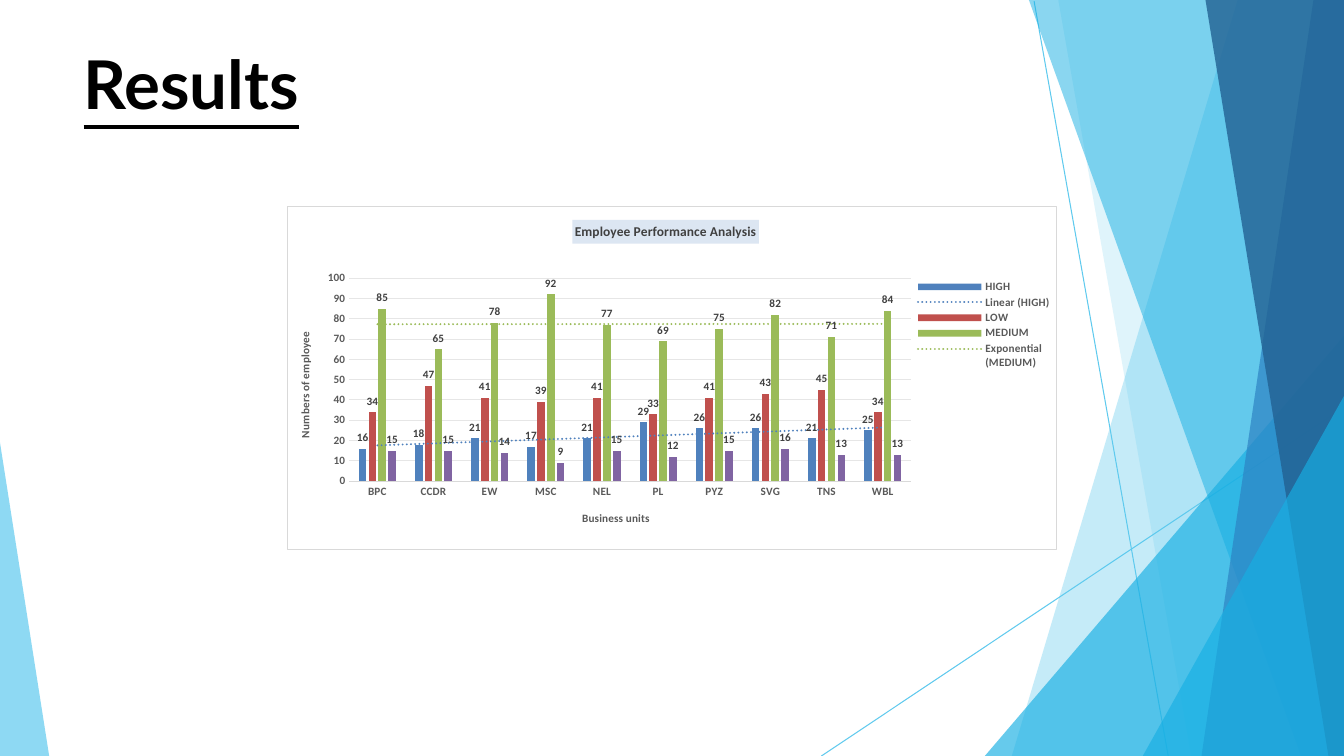
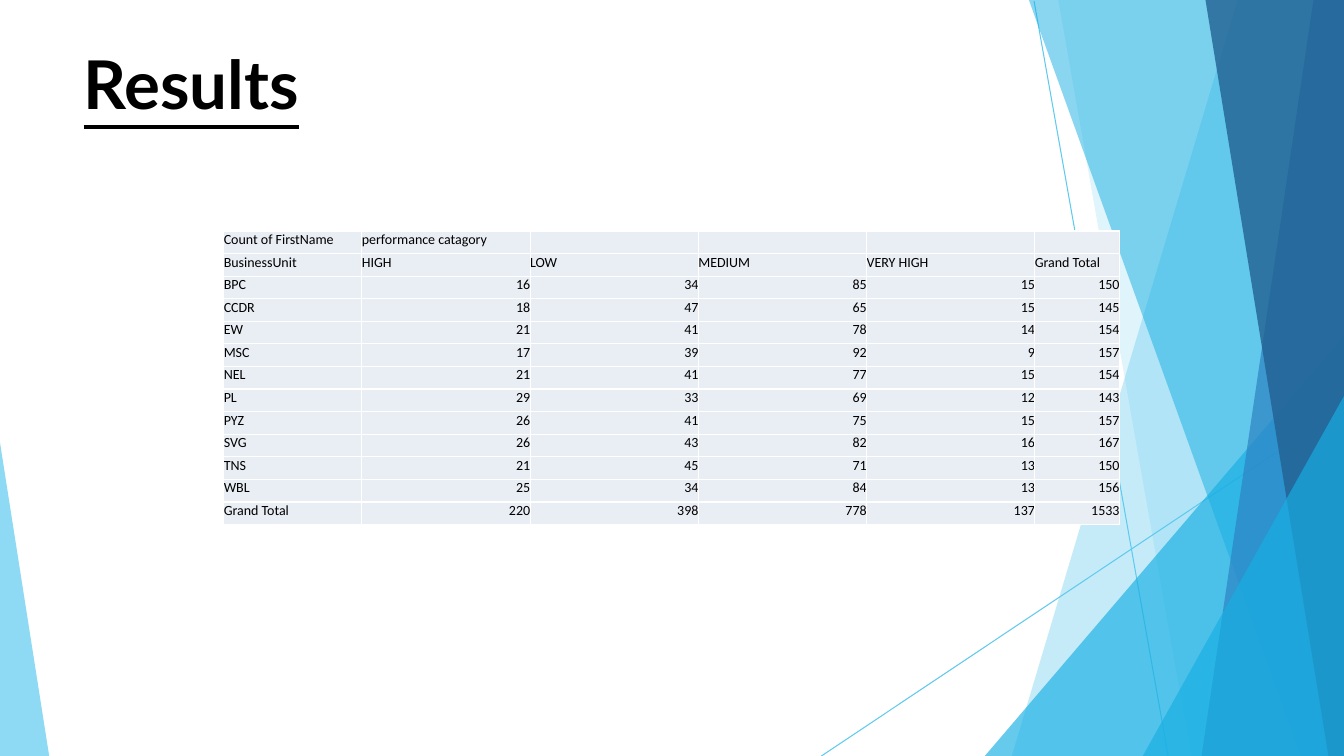
"""Build two results slides: a column chart and a table of performance counts by business unit."""
from lxml.etree import SubElement
from pptx import Presentation
from pptx.chart.data import CategoryChartData
from pptx.dml.color import RGBColor
from pptx.enum.chart import XL_CHART_TYPE as ChartType
from pptx.enum.chart import XL_LABEL_POSITION as LabelPosition
from pptx.enum.chart import XL_LEGEND_POSITION as LegendPosition
from pptx.enum.chart import XL_TICK_MARK as TickMark
from pptx.enum.shapes import MSO_CONNECTOR as Connector
from pptx.enum.text import MSO_ANCHOR as Anchor
from pptx.enum.text import PP_ALIGN as Align
from pptx.oxml import parse_xml
from pptx.oxml.ns import nsdecls, qn
from pptx.util import Cm, Pt

WIDTH, HEIGHT = 33.87, 19.05

COLORS = {
    "sky": "5FCAEE", "cyan": "17AFE3", "blue": "2D83C3", "navy": "226192",
    "black": "000000", "white": "FFFFFF", "cell": "E9EDF4",
    "high": "4F81BD", "low": "C0504D", "medium": "9BBB59", "very high": "8064A2",
    "label": "404040", "axis": "595959", "border": "D9D9D9", "grid": "E6E6E6",
    "title fill": "DCE6F2",
}

THIN_LINES = [((26.06, 0.03), (29.44, HEIGHT)), ((WIDTH, 10.26), (20.7, HEIGHT))]

FACETS = [
    ("sky", 36, [(WIDTH, 0), (31.19, 0), (25.5, HEIGHT), (WIDTH, HEIGHT)]),
    ("sky", 20, [(WIDTH, 0), (26.67, 0), (30.02, HEIGHT), (WIDTH, HEIGHT)]),
    ("cyan", 66, [(WIDTH, 8.46), (24.82, HEIGHT), (WIDTH, HEIGHT)]),
    ("cyan", 50, [(WIDTH, 0), (25.93, 0), (32.79, HEIGHT), (WIDTH, HEIGHT)]),
    ("blue", 70, [(WIDTH, 0), (33.1, 0), (30.28, HEIGHT), (WIDTH, HEIGHT)]),
    ("navy", 80, [(WIDTH, 0), (30.38, 0), (33.48, HEIGHT), (WIDTH, HEIGHT)]),
    ("cyan", 66, [(WIDTH, 9.98), (28.8, HEIGHT), (WIDTH, HEIGHT)]),
    ("sky", 70, [(0, 11.15), (0, HEIGHT), (1.24, HEIGHT)]),
]

UNITS = ["BPC", "CCDR", "EW", "MSC", "NEL", "PL", "PYZ", "SVG", "TNS", "WBL"]
COUNTS = {
    "HIGH": [16, 18, 21, 17, 21, 29, 26, 26, 21, 25],
    "LOW": [34, 47, 41, 39, 41, 33, 41, 43, 45, 34],
    "MEDIUM": [85, 65, 78, 92, 77, 69, 75, 82, 71, 84],
    "VERY HIGH": [15, 15, 14, 9, 15, 12, 15, 16, 13, 13],
}
TRENDS = {"HIGH": "linear", "MEDIUM": "exp"}
COLUMN_WIDTHS = [3.48, 4.24, 4.24, 4.24, 4.24, 2.13]
ROW_HEIGHT = 0.57


def rgb(name):
    return RGBColor.from_string(COLORS[name])


def set_font(font, size, color, bold=False, name="Calibri"):
    font.name, font.size, font.bold = name, Pt(size), bold
    font.color.rgb = rgb(color)


def add_backdrop(slide):
    for start, end in THIN_LINES:
        line = slide.shapes.add_connector(
            Connector.STRAIGHT, *(Cm(value) for value in start + end))
        line.line.color.rgb = rgb("sky")
        line.line.width = Pt(0.75)
        SubElement(line._element.spPr, qn("a:effectLst"))
    for color, opacity, corners in FACETS:
        points = [(Cm(x), Cm(y)) for x, y in corners]
        builder = slide.shapes.build_freeform(*points[0], scale=1.0)
        builder.add_line_segments(points[1:], close=True)
        facet = builder.convert_to_shape()
        facet.shadow.inherit = False
        facet.line.fill.background()
        facet.fill.solid()
        facet.fill.fore_color.rgb = rgb(color)
        swatch = facet._element.spPr.find(".//" + qn("a:srgbClr"))
        SubElement(swatch, qn("a:alpha"), val=str(opacity * 1000))


def add_title(slide, text):
    frame = slide.shapes.add_textbox(Cm(2.11), Cm(1.07), Cm(29.66), Cm(2.12)).text_frame
    frame.word_wrap = True
    frame.margin_left = frame.margin_right = frame.margin_top = frame.margin_bottom = 0
    run = frame.paragraphs[0].add_run()
    run.text = text
    set_font(run.font, 48, "black", True, "Lato")
    run.font.underline = True


def place(element, index, inner=False, **box):
    """Give a chart part a manual layout in fractions of the chart."""
    for old in element.findall(qn("c:layout")):
        element.remove(old)
    target = '<c:layoutTarget val="inner"/>' if inner else ""
    modes = "".join(f'<c:{side}Mode val="edge"/>' for side in "xy")
    sizes = "".join(f'<c:{side} val="{value}"/>' for side, value in box.items())
    element.insert(index, parse_xml(
        f'<c:layout {nsdecls("c")}><c:manualLayout>{target}{modes}{sizes}'
        "</c:manualLayout></c:layout>"))


def title_part(title, text, size, color, x, y):
    run = title.text_frame.paragraphs[0].add_run()
    run.text = text
    set_font(run.font, size, color, True)
    place(title._element, 1, x=x, y=y)


def style_series(series):
    color = series.name.lower()
    series.format.fill.solid()
    series.format.fill.fore_color.rgb = rgb(color)
    series.invert_if_negative = False
    labels = series.data_labels
    labels.show_value = True
    labels.position = LabelPosition.OUTSIDE_END
    set_font(labels.font, 8, "label", True)
    if series.name in TRENDS:
        series._element.find(qn("c:cat")).addprevious(parse_xml(
            f'<c:trendline {nsdecls("c", "a")}><c:spPr><a:ln w="{Pt(1.5)}" cap="rnd">'
            f'<a:solidFill><a:srgbClr val="{COLORS[color]}"/></a:solidFill>'
            '<a:prstDash val="sysDot"/></a:ln></c:spPr>'
            f'<c:trendlineType val="{TRENDS[series.name]}"/>'
            '<c:dispRSqr val="0"/><c:dispEq val="0"/></c:trendline>'))


def style_axes(chart):
    category, value = chart.category_axis, chart.value_axis
    for axis in (category, value):
        axis.major_tick_mark = axis.minor_tick_mark = TickMark.NONE
        set_font(axis.tick_labels.font, 8, "axis", True)
    category.format.line.color.rgb = rgb("border")
    category.format.line.width = Pt(0.75)
    value.format.line.fill.background()
    value.minimum_scale, value.maximum_scale, value.major_unit = 0, 100, 10
    value.major_gridlines.format.line.color.rgb = rgb("grid")
    value.major_gridlines.format.line.width = Pt(0.75)
    title_part(category.axis_title, "Business units", 8, "axis", 0.38, 0.88)
    title_part(value.axis_title, "Numbers of employee", 8, "axis", 0.01, 0.36)


def style_legend(chart):
    chart.has_legend = True
    legend = chart.legend
    legend.position = LegendPosition.RIGHT
    legend.include_in_layout = False
    set_font(legend.font, 8, "axis", True)
    hidden = list(COUNTS).index("VERY HIGH")
    legend._element.insert(1, parse_xml(
        f'<c:legendEntry {nsdecls("c")}><c:idx val="{hidden}"/>'
        '<c:delete val="1"/></c:legendEntry>'))
    place(legend._element, 2, x=0.81, y=0.21, w=0.19, h=0.27)


def add_performance_chart(slide):
    data = CategoryChartData()
    data.categories = UNITS
    for name, values in COUNTS.items():
        data.add_series(name, values)
    chart = slide.shapes.add_chart(
        ChartType.COLUMN_CLUSTERED, Cm(7.24), Cm(5.18), Cm(19.41), Cm(8.69), data).chart
    set_font(chart.font, 8, "black", True)
    plot = chart.plots[0]
    plot.gap_width, plot.overlap, plot.vary_by_categories = 246, -28, False
    for series in plot.series:
        style_series(series)
    style_axes(chart)
    style_legend(chart)
    chart.has_title = True
    title_part(chart.chart_title, "Employee Performance Analysis", 9.6, "label", 0.37, 0.04)
    chart.chart_title.format.fill.solid()
    chart.chart_title.format.fill.fore_color.rgb = rgb("title fill")
    space = chart._chartSpace
    place(space.find(".//" + qn("c:plotArea")), 0, True, x=0.08, y=0.21, w=0.73, h=0.59)
    space.find(qn("c:chart")).addnext(parse_xml(
        f'<c:spPr {nsdecls("c", "a")}><a:solidFill><a:srgbClr val="{COLORS["white"]}"/>'
        f'</a:solidFill><a:ln w="{Pt(0.75)}"><a:solidFill>'
        f'<a:srgbClr val="{COLORS["border"]}"/></a:solidFill></a:ln></c:spPr>'))


def table_rows():
    records = [list(record) for record in zip(*COUNTS.values())]
    records.append([sum(values) for values in COUNTS.values()])
    heads = [["Count of FirstName", "performance catagory", "", "", "", ""],
             ["BusinessUnit", *COUNTS, "Grand Total"]]
    return heads + [[unit, *record, sum(record)]
                    for unit, record in zip(UNITS + ["Grand Total"], records)]


def fill_cell(cell, value):
    cell.margin_left = cell.margin_top = cell.margin_right = 0
    cell.margin_bottom = Cm(0.13)
    cell.vertical_anchor = Anchor.MIDDLE
    paragraph = cell.text_frame.paragraphs[0]
    if isinstance(value, int):
        paragraph.alignment = Align.RIGHT
    if value != "":
        run = paragraph.add_run()
        run.text = str(value)
        set_font(run.font, 10, "black")
    SubElement(paragraph._p, qn("a:endParaRPr"), sz="1000")
    properties = cell._tc.get_or_add_tcPr()
    for side in "LRTB":
        properties.append(parse_xml(
            f'<a:ln{side} {nsdecls("a")} w="{Pt(1)}"><a:solidFill>'
            f'<a:srgbClr val="{COLORS["white"]}"/></a:solidFill></a:ln{side}>'))
    cell.fill.solid()
    cell.fill.fore_color.rgb = rgb("cell")


def add_count_table(slide):
    rows = table_rows()
    table = slide.shapes.add_table(
        len(rows), len(COLUMN_WIDTHS), Cm(5.64), Cm(5.82),
        Cm(sum(COLUMN_WIDTHS)), Cm(ROW_HEIGHT * len(rows))).table
    table.first_row = table.horz_banding = False
    for column, width in zip(table.columns, COLUMN_WIDTHS):
        column.width = Cm(width)
    for row, values in zip(table.rows, rows):
        row.height = Cm(ROW_HEIGHT)
        for cell, value in zip(row.cells, values):
            fill_cell(cell, value)


def main():
    presentation = Presentation()
    presentation.slide_width, presentation.slide_height = Cm(WIDTH), Cm(HEIGHT)
    for add_content in (add_performance_chart, add_count_table):
        slide = presentation.slides.add_slide(presentation.slide_layouts[6])
        add_backdrop(slide)
        add_title(slide, "Results")
        add_content(slide)
    presentation.save("out.pptx")


if __name__ == "__main__":
    main()
